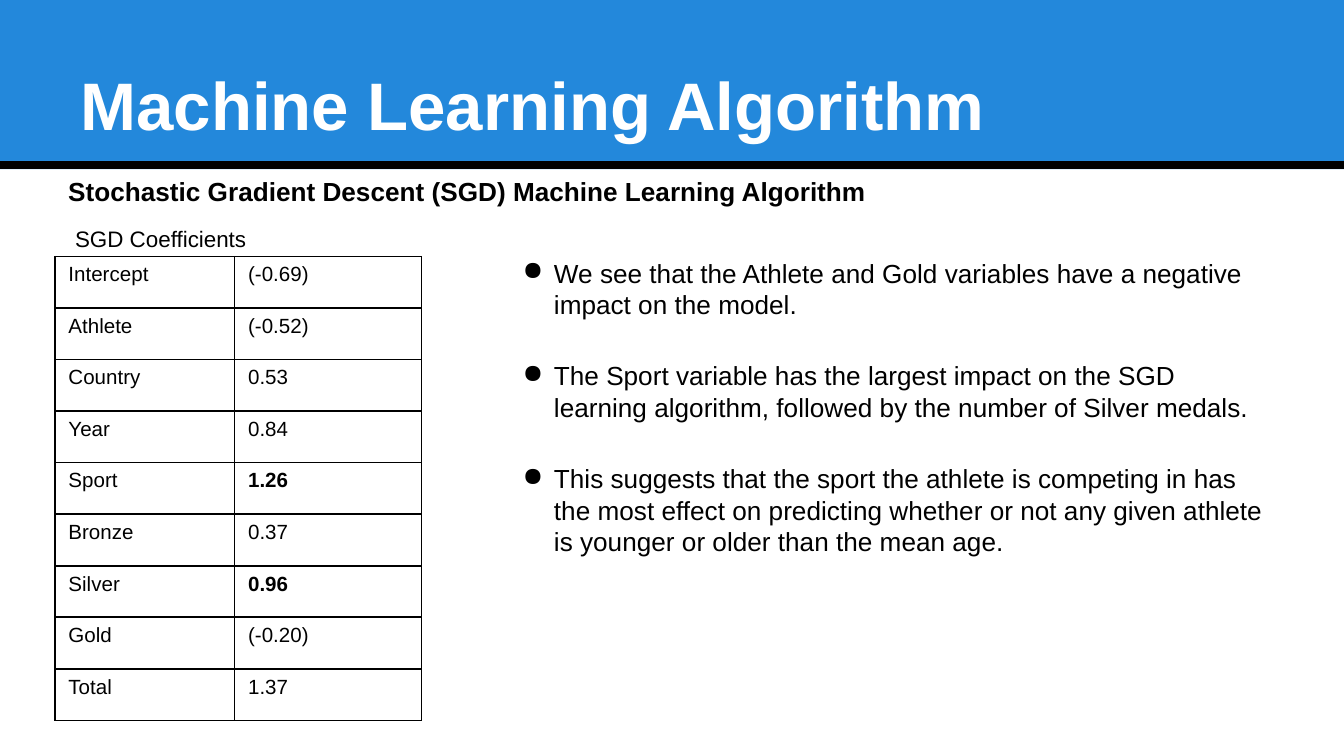
from lxml.etree import SubElement
from pptx import Presentation
from pptx.dml.color import RGBColor
from pptx.enum.shapes import MSO_CONNECTOR, MSO_SHAPE
from pptx.enum.text import MSO_ANCHOR
from pptx.oxml.ns import qn
from pptx.util import Cm, Pt

COEFFICIENTS = [
    ("Intercept", "(-0.69)"), ("Athlete", "(-0.52)"), ("Country", "0.53"),
    ("Year", "0.84"), ("Sport", "1.26"), ("Bronze", "0.37"),
    ("Silver", "0.96"), ("Gold", "(-0.20)"), ("Total", "1.37"),
]
LARGEST = {"1.26", "0.96"}
FINDINGS = [
    "We see that the Athlete and Gold variables have a negative impact on the model.",
    "The Sport variable has the largest impact on the SGD learning algorithm, "
    "followed by the number of Silver medals.",
    "This suggests that the sport the athlete is competing in has the most effect on "
    "predicting whether or not any given athlete is younger or older than the mean age.",
]


def color(value):
    return RGBColor.from_string(value)


def style(paragraph, size, ink="000000", bold=False):
    font = paragraph.font
    font.name, font.size, font.bold = "Arial", Pt(size), bold
    font.color.rgb = color(ink)


def add_text(slide, box, lines, size, ink="000000", bold=False, anchor=MSO_ANCHOR.TOP):
    frame = slide.shapes.add_textbox(*map(Cm, box)).text_frame
    frame.word_wrap = True
    frame.vertical_anchor = anchor
    frame.margin_left = frame.margin_right = Cm(0.25)
    frame.margin_top = frame.margin_bottom = Cm(0.25)
    frame.text = "\n".join(lines)
    for paragraph in frame.paragraphs:
        style(paragraph, size, ink, bold)
    return frame


def add_header(slide, box, title):
    left, top, width, height = box
    band = slide.shapes.add_shape(MSO_SHAPE.RECTANGLE, *map(Cm, box))
    band.shadow.inherit = False
    band.fill.solid()
    band.fill.fore_color.rgb = color("2388DB")
    band.line.fill.background()
    rule_y = top + height - 0.08
    rule = slide.shapes.add_connector(
        MSO_CONNECTOR.STRAIGHT, Cm(left), Cm(rule_y), Cm(left + width), Cm(rule_y))
    rule.line.color.rgb = color("000000")
    rule.line.width = Pt(4.5)
    SubElement(rule._element.spPr, qn("a:effectLst"))
    add_text(slide, (left + 1.27, top + 0.58, width - 2.54, 2.39), [title], 36,
             "FFFFFF", True, MSO_ANCHOR.BOTTOM)


def add_borders(cell):
    properties = cell._tc.get_or_add_tcPr()
    for position, side in enumerate(("a:lnL", "a:lnR", "a:lnT", "a:lnB")):
        border = properties.makeelement(qn(side), {"w": str(Pt(1))})
        fill = SubElement(border, qn("a:solidFill"))
        SubElement(fill, qn("a:srgbClr"), val="000000")
        properties.insert(position, border)


def add_coefficients(slide, box, caption):
    left, top, width, height = box
    add_text(slide, (left + 0.13, top - 0.84, width - 0.23, 0.56), [caption], 12)
    coefficients = slide.shapes.add_table(len(COEFFICIENTS), 2, *map(Cm, box)).table
    coefficients.first_row = coefficients.horz_banding = False
    for column, share in zip(coefficients.columns, (0.49, 0.51)):
        column.width = Cm(width * share)
    for row, entries in zip(coefficients.rows, COEFFICIENTS):
        row.height = Cm(height / len(COEFFICIENTS))
        for cell, entry in zip(row.cells, entries):
            cell.text = entry
            cell.fill.background()
            style(cell.text_frame.paragraphs[0], 11, bold=entry in LARGEST)
            add_borders(cell)


def add_findings(slide, box):
    for paragraph in add_text(slide, box, FINDINGS, 14).paragraphs:
        paragraph.line_spacing = Pt(17)
        paragraph.space_after = Pt(21)
        properties = paragraph._p.get_or_add_pPr()
        properties.set("marL", str(Cm(0.59)))
        properties.set("indent", str(-Cm(0.59)))
        bullet = properties.makeelement(qn("a:buChar"), {"char": "●"})
        properties.insert_element_before(bullet, "a:tabLst", "a:defRPr", "a:extLst")


presentation = Presentation()
presentation.slide_width, presentation.slide_height = Cm(25.4), Cm(14.29)
slide = presentation.slides.add_slide(presentation.slide_layouts[6])
add_header(slide, (0, 0, 25.4, 3.2), "Machine Learning Algorithm")
add_text(slide, (1.04, 3.07, 17.68, 0.84),
         ["Stochastic Gradient Descent (SGD) Machine Learning Algorithm"], 14, bold=True)
add_coefficients(slide, (1.04, 4.85, 6.93, 8.77), "SGD Coefficients")
add_findings(slide, (9.63, 4.6, 14.5, 9.12))
presentation.save("out.pptx")
